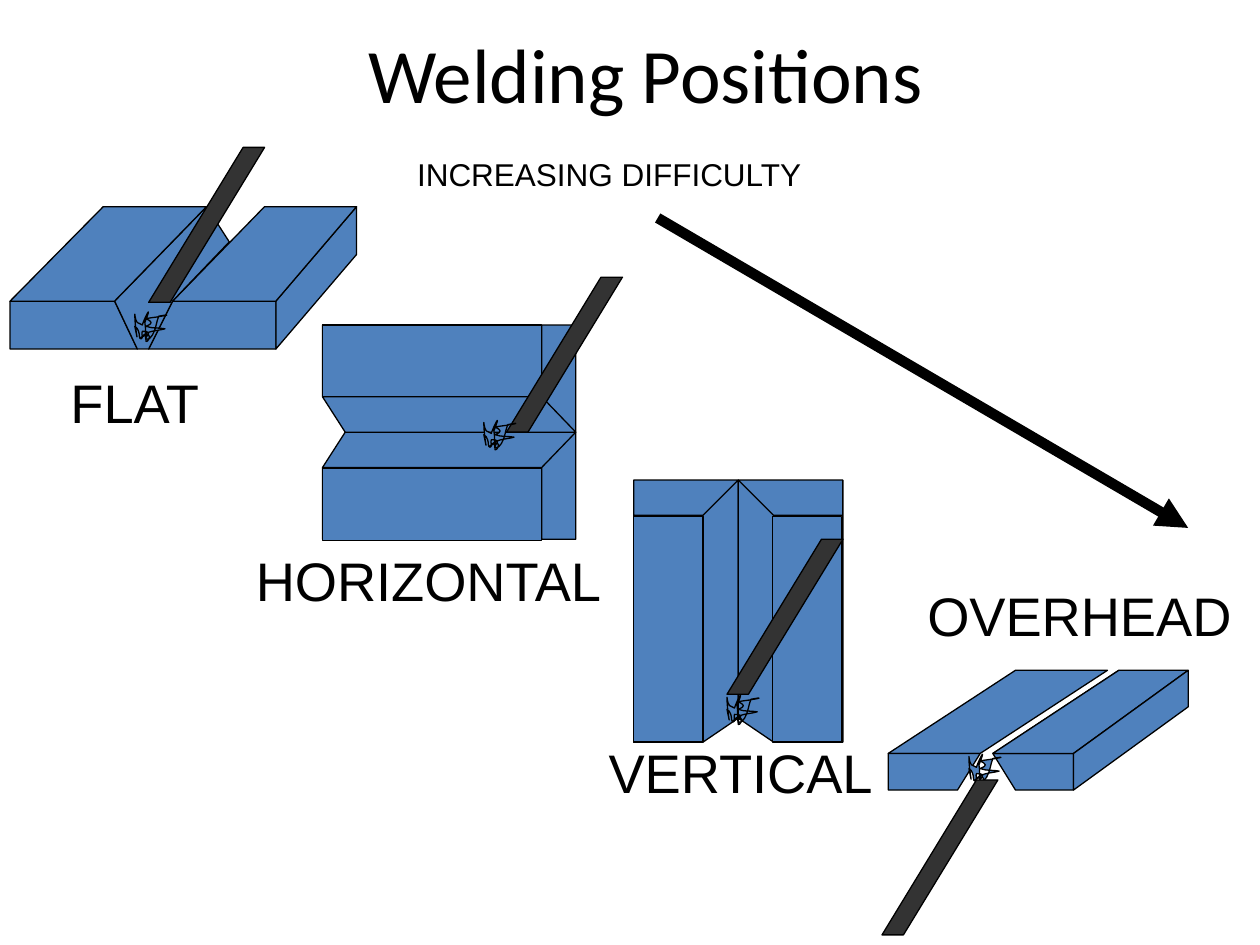
import dataclasses

import pptx
import pptx.dml.color
import pptx.enum.dml
import pptx.enum.shapes
import pptx.enum.text
import pptx.oxml
import pptx.util
from lxml import etree
from pptx.oxml.ns import qn

BLACK = pptx.dml.color.RGBColor(0x00, 0x00, 0x00)
STEEL_BLUE = pptx.dml.color.RGBColor(0x4F, 0x81, 0xBD)
ELECTRODE_GREY = pptx.dml.color.RGBColor(0x33, 0x33, 0x33)

Point = tuple[float, float]
Preset = pptx.enum.shapes.MSO_SHAPE


@dataclasses.dataclass(frozen=True)
class Face:
    points: list[Point]
    closed: bool = True


@dataclasses.dataclass(frozen=True)
class Panel:
    left: float
    top: float
    width: float
    height: float


@dataclasses.dataclass(frozen=True)
class Label:
    text: str
    left: float
    top: float
    width: float
    height: float = 0.64
    size: float = 31


def inch(value: float) -> pptx.util.Cm:
    return pptx.util.Cm(value * 2.54)


def mirror_down(face: Face, axis: float) -> Face:
    return Face([(x, 2 * axis - y) for x, y in face.points], face.closed)


def mirror_across(face: Face, axis: float) -> Face:
    return Face([(2 * axis - x, y) for x, y in face.points], face.closed)


FLAT = [
    Face([(0.08, 2.39), (0.91, 2.39), (1.09, 2.77), (0.08, 2.77)]),
    Face([(2.19, 2.39), (1.37, 2.39), (1.18, 2.77), (2.19, 2.77)]),
    Face([(2.19, 2.77), (2.83, 2.02), (2.83, 1.64), (2.19, 2.39)]),
    Face([(2.83, 1.64), (2.19, 2.39), (1.37, 2.39), (2.1, 1.64)]),
    Face([(1.09, 2.77), (0.91, 2.39), (1.64, 1.64), (1.82, 1.92), (1.37, 2.39), (1.18, 2.77)]),
    Face([(1.64, 1.64), (0.82, 1.64), (0.08, 2.39), (0.91, 2.39)]),
]
UPPER_PLATE = Face(
    [(2.65, 2.58), (4.3, 2.58), (4.3, 3.15), (4.57, 3.43), (4.57, 2.58), (2.56, 2.58),
     (2.56, 3.15), (4.3, 3.15), (4.57, 3.43), (2.74, 3.43), (2.56, 3.15), (2.56, 2.58)],
    closed=False,
)
HORIZONTAL = [
    mirror_down(UPPER_PLATE, 3.43), Panel(2.56, 3.72, 1.74, 0.57),
    UPPER_PLATE, Panel(2.56, 2.58, 1.74, 0.57),
]
LEFT_PLATE = Face(
    [(5.03, 5.79), (5.03, 4.09), (5.58, 4.09), (5.86, 3.81), (5.03, 3.81), (5.03, 5.89),
     (5.58, 5.89), (5.58, 4.09), (5.86, 3.81), (5.86, 5.7), (5.58, 5.89), (5.03, 5.89)],
    closed=False,
)
VERTICAL = [
    LEFT_PLATE, Panel(5.03, 4.1, 0.55, 1.79),
    mirror_across(LEFT_PLATE, 5.86), Panel(6.13, 4.1, 0.55, 1.79),
]
OVERHEAD = [
    Face([(7.05, 5.98), (8.06, 5.32), (8.79, 5.32), (7.78, 5.98)]),
    Face([(7.05, 5.98), (7.05, 6.27), (7.6, 6.27), (7.78, 5.98)]),
    Face([(8.88, 5.32), (7.88, 5.98), (8.06, 6.27), (8.52, 6.27), (8.52, 5.98), (7.88, 5.98)]),
    Face([(7.88, 5.98), (8.88, 5.32), (9.43, 5.32), (8.52, 5.98)]),
    Face([(8.52, 6.27), (9.43, 5.61), (9.43, 5.32), (8.52, 5.98)]),
]
JOINTS = [FLAT, HORIZONTAL, VERTICAL, OVERHEAD]

# Start point, then three Bezier points per curve, in hundredths of an inch
SPARK = [
    (5, 30), (10, 24), (17, 25), (24, 23), (19, 22), (14, 23), (9, 21),
    (8, 21), (13, 20), (13, 18), (13, 17), (11, 16), (9, 15),
    (13, 14), (17, 14), (21, 13), (22, 13), (27, 12), (25, 12),
    (23, 12), (21, 13), (19, 13), (17, 18), (17, 23), (14, 28),
    (13, 30), (11, 32), (9, 31), (8, 30), (11, 28), (11, 26),
    (10, 26), (8, 24), (6, 25), (5, 26), (7, 31), (5, 31),
    (3, 31), (4, 27), (3, 25), (3, 23), (1, 22), (0, 21),
    (4, 40), (0, 23), (0, 12), (0, 9), (0, 16), (2, 18),
    (3, 19), (5, 19), (6, 20), (7, 16), (15, 0), (8, 18),
    (9, 23), (8, 28), (9, 33), (10, 34), (13, 29), (11, 28),
    (9, 27), (7, 29), (5, 30),
]
SPARK_ORIGINS = [(1.07, 2.38), (3.84, 3.24), (5.77, 5.42), (7.69, 5.89)]
UPPER_ELECTRODES = [(1.18, 1.17), (4.02, 2.2), (5.77, 4.28)]
OVERHEAD_ELECTRODE = (7, 6.19)

LABELS = [
    Label("FLAT", 0.45, 2.87, 1.83),
    Label("HORIZONTAL", 1.92, 4.28, 3.12),
    Label("INCREASING DIFFICULTY", 3.2, 1.17, 4.95, 0.45, 18),
    Label("VERTICAL", 4.72, 5.81, 3.12),
    Label("OVERHEAD", 7.25, 4.56, 3.12),
]


def paint(shape, color: pptx.dml.color.RGBColor) -> None:
    shape.shadow.inherit = False
    shape.fill.solid()
    shape.fill.fore_color.rgb = color
    shape.line.color.rgb = BLACK
    shape.line.width = pptx.util.Pt(0.75)


def add_face(shapes, face: Face):
    points = [(inch(x), inch(y)) for x, y in face.points]
    builder = shapes.build_freeform(*points[0])
    builder.add_line_segments(points[1:], close=face.closed)
    shape = builder.convert_to_shape()
    paint(shape, STEEL_BLUE)
    return shape


def add_preset(shapes, kind, panel: Panel, color):
    shape = shapes.add_shape(kind, *(inch(value) for value in dataclasses.astuple(panel)))
    paint(shape, color)
    return shape


def add_joint(shapes, parts: list[Face | Panel]) -> None:
    group = shapes.add_group_shape()
    for part in parts:
        if isinstance(part, Face):
            add_face(group.shapes, part)
        else:
            add_preset(group.shapes, Preset.RECTANGLE, part, STEEL_BLUE)


def add_electrode(shapes, left: float, top: float) -> None:
    shape = add_preset(shapes, Preset.PARALLELOGRAM, Panel(left, top, 0.92, 1.23), ELECTRODE_GREY)
    shape.adjustments[0] = 0.815


def add_spark(shapes, left: float, top: float) -> None:
    """Draw the spark outline, turning each three line points into one curve."""
    shape = add_face(shapes, Face([(left + x / 100, top + y / 100) for x, y in SPARK]))
    segments = list(shape._element.iter(qn("a:lnTo")))
    for start in range(0, len(segments), 3):
        curve = etree.Element(qn("a:cubicBezTo"))
        segments[start].addprevious(curve)
        for segment in segments[start:start + 3]:
            curve.append(segment[0])
            segment.getparent().remove(segment)


def add_label(shapes, label: Label) -> None:
    box = shapes.add_textbox(*(inch(v) for v in (label.left, label.top, label.width, label.height)))
    frame = box.text_frame
    frame.word_wrap = True
    frame.margin_left = frame.margin_right = inch(0.11)
    frame.margin_top = frame.margin_bottom = inch(0.06)
    add_run(frame.paragraphs[0], label.text, "Arial", label.size)


def add_run(paragraph, text: str, font_name: str, size: float) -> None:
    run = paragraph.add_run()
    run.text = text
    run.font.name = font_name
    run.font.size = pptx.util.Pt(size)
    run.font.color.rgb = BLACK


def add_difficulty_arrow(shapes) -> None:
    arrow = shapes.add_connector(
        pptx.enum.shapes.MSO_CONNECTOR.STRAIGHT, inch(5.22), inch(1.73), inch(9.43), inch(4.19))
    arrow.line.color.rgb = BLACK
    arrow.line.width = pptx.util.Pt(6)
    etree.SubElement(arrow.line._get_or_add_ln(), qn("a:tailEnd"), type="triangle")
    etree.SubElement(arrow._element.spPr, qn("a:effectLst"))


def add_title(title) -> None:
    title.left, title.top, title.width, title.height = map(inch, (0.45, 0.08, 9.35, 1))
    title.text_frame.vertical_anchor = pptx.enum.text.MSO_ANCHOR.MIDDLE
    paragraph = title.text_frame.paragraphs[0]
    paragraph.alignment = pptx.enum.text.PP_ALIGN.CENTER
    add_run(paragraph, "Welding Positions", "Calibri", 44)


def main() -> None:
    presentation = pptx.Presentation()
    presentation.slide_width, presentation.slide_height = inch(10), inch(7.5)
    slide = presentation.slides.add_slide(presentation.slide_layouts[5])
    shapes = slide.shapes
    add_title(shapes.title)
    for joint in JOINTS:
        add_joint(shapes, joint)
    for position in UPPER_ELECTRODES:
        add_electrode(shapes, *position)
    for origin in SPARK_ORIGINS:
        add_spark(shapes, *origin)
    add_difficulty_arrow(shapes)
    for label in LABELS:
        add_label(shapes, label)
    add_electrode(shapes, *OVERHEAD_ELECTRODE)
    presentation.save("out.pptx")


if __name__ == "__main__":
    main()
